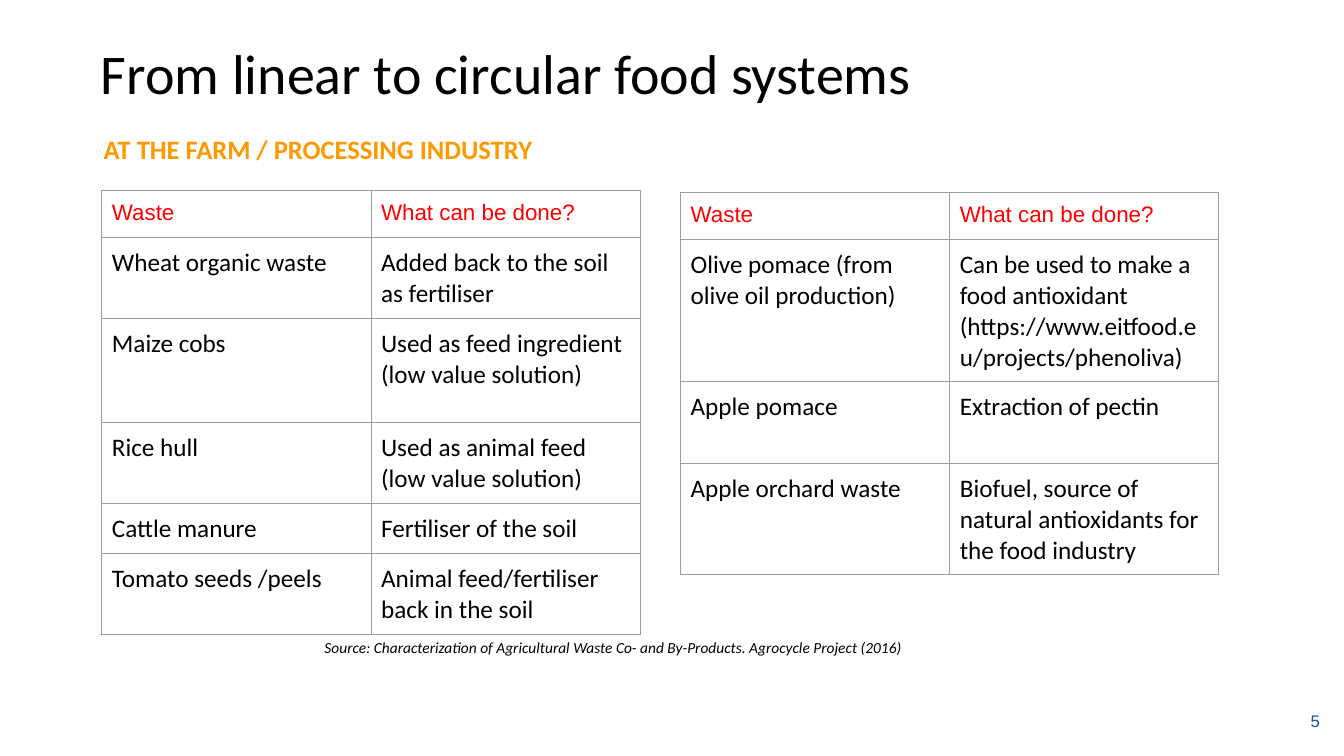
from lxml import etree
from pptx import Presentation
from pptx.dml.color import RGBColor
from pptx.enum.text import MSO_ANCHOR, PP_ALIGN
from pptx.oxml.ns import qn
from pptx.util import Inches, Pt

TOP, MIDDLE = MSO_ANCHOR.TOP, MSO_ANCHOR.MIDDLE
LEFT, RIGHT = PP_ALIGN.LEFT, PP_ALIGN.RIGHT

BLACK = RGBColor(0x00, 0x00, 0x00)
RED = RGBColor(0xFF, 0x00, 0x00)
ORANGE = RGBColor(0xFF, 0x99, 0x00)
BLUE = RGBColor(0x1D, 0x4F, 0x9D)
GREY = RGBColor(0x9E, 0x9E, 0x9E)

TITLE = "From linear to circular food systems"
SUBTITLE = "AT THE FARM / PROCESSING INDUSTRY"
SOURCE = ("Source: Characterization of Agricultural Waste Co- and By-Products. "
          "Agrocycle Project (2016)")
PAGE_NUMBER = "5"
HEADER = ("Waste", "What can be done?")
FARM_ROWS = [
    ("Wheat organic waste", "Added back to the soil as fertiliser"),
    ("Maize cobs", "Used as feed ingredient (low value solution)"),
    ("Rice hull", "Used as animal feed (low value solution)"),
    ("Cattle manure", "Fertiliser of the soil"),
    ("Tomato seeds /peels", "Animal feed/fertiliser back in the soil"),
]
FRUIT_ROWS = [
    ("Olive pomace (from olive oil production)",
     "Can be used to make a food antioxidant "
     "(https://www.eitfood.eu/projects/phenoliva)"),
    ("Apple pomace", "Extraction of pectin"),
    ("Apple orchard waste",
     "Biofuel, source of natural antioxidants for the food industry"),
]
TABLES = [
    (1.01, 1.89, FARM_ROWS, (0.47, 0.8, 1.03, 0.8, 0.5, 0.8)),
    (6.75, 1.91, FRUIT_ROWS, (0.47, 1.4, 0.82, 1.1)),
]
COLUMN_WIDTH = 2.67
CELL_MARGIN = Inches(0.1)
BORDER_WIDTH = Pt(0.75)


def style(paragraph, name, size, color, bold=False, italic=False):
    """Set the font of a whole paragraph."""
    font = paragraph.font
    font.name, font.size, font.color.rgb = name, Pt(size), color
    font.bold, font.italic = bold, italic


def add_label(slide, text, box, anchor=TOP, align=LEFT, **font):
    """Add a wrapped one-paragraph text box."""
    frame = slide.shapes.add_textbox(*map(Inches, box)).text_frame
    frame.word_wrap = True
    frame.vertical_anchor = anchor
    paragraph = frame.paragraphs[0]
    paragraph.text = text
    paragraph.alignment = align
    style(paragraph, **font)


def add_borders(cell):
    """Draw a thin grey line on each side of a cell."""
    properties = cell._tc.get_or_add_tcPr()
    for side in ("a:lnL", "a:lnR", "a:lnT", "a:lnB"):
        line = etree.SubElement(properties, qn(side), w=str(BORDER_WIDTH))
        fill = etree.SubElement(line, qn("a:solidFill"))
        etree.SubElement(fill, qn("a:srgbClr"), val=str(GREY))


def add_waste_table(slide, left, top, rows, heights):
    """Add a bordered two-column table with a red header."""
    grid = [HEADER, *rows]
    columns = len(HEADER)
    table = slide.shapes.add_table(
        len(grid), columns, Inches(left), Inches(top),
        Inches(COLUMN_WIDTH * columns), Inches(sum(heights))).table
    table.first_row = table.horz_banding = False
    for column in table.columns:
        column.width = Inches(COLUMN_WIDTH)
    for row_index, (texts, height) in enumerate(zip(grid, heights)):
        table.rows[row_index].height = Inches(height)
        for column_index, text in enumerate(texts):
            cell = table.cell(row_index, column_index)
            cell.margin_left = cell.margin_right = CELL_MARGIN
            cell.margin_top = cell.margin_bottom = CELL_MARGIN
            add_borders(cell)
            cell.fill.background()
            cell.text = text
            paragraph = cell.text_frame.paragraphs[0]
            if row_index == 0:
                style(paragraph, "Arial", 16, RED)
            else:
                style(paragraph, "Calibri", 18, BLACK)


def add_title(slide):
    """Fill and place the title placeholder."""
    title = slide.shapes.title
    title.left, title.top = Inches(0.9), Inches(0.41)
    title.width, title.height = Inches(11.9), Inches(0.92)
    title.text = TITLE
    title.text_frame.vertical_anchor = TOP
    paragraph = title.text_frame.paragraphs[0]
    paragraph.alignment = LEFT
    paragraph.line_spacing = 0.9
    style(paragraph, "Calibri", 40, BLACK)


def main():
    """Build the slide and save it."""
    presentation = Presentation()
    presentation.slide_width = Inches(13.33)
    presentation.slide_height = Inches(7.5)
    slide = presentation.slides.add_slide(presentation.slide_layouts[5])
    add_title(slide)
    add_label(slide, PAGE_NUMBER, (10.19, 6.95, 3, 0.4), MIDDLE, RIGHT,
              name="Arial", size=12, color=BLUE)
    add_label(slide, SUBTITLE, (0.93, 1.27, 6.43, 0.42),
              name="Calibri", size=19, color=ORANGE, bold=True)
    add_label(slide, SOURCE, (3.12, 6.28, 6.43, 0.29),
              name="Calibri", size=11, color=BLACK, italic=True)
    for table in TABLES:
        add_waste_table(slide, *table)
    presentation.save("out.pptx")


if __name__ == "__main__":
    main()
